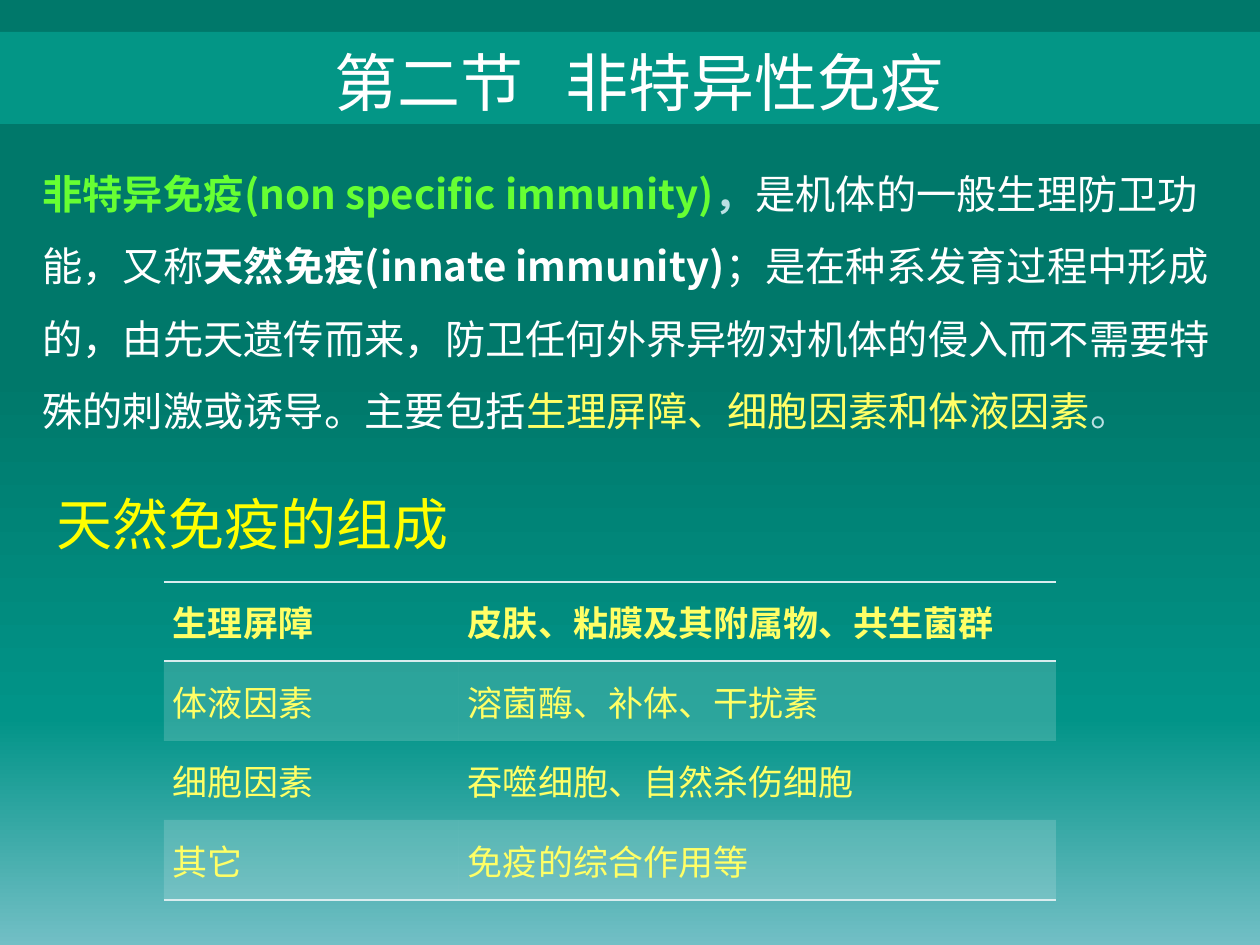
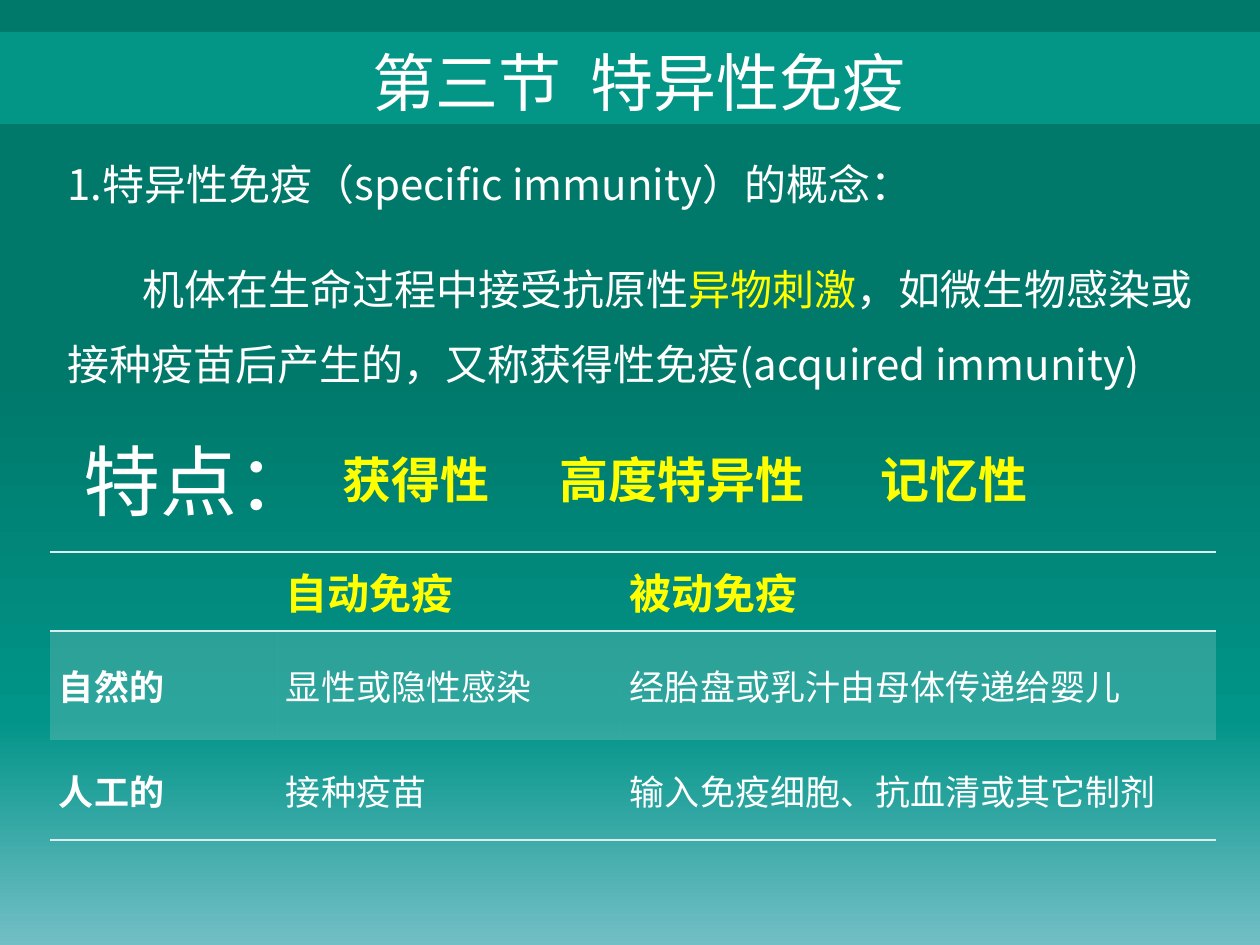
import pptx
import pptx.util
from lxml import etree
from pptx.dml.color import RGBColor
from pptx.enum.shapes import MSO_SHAPE
from pptx.enum.text import MSO_ANCHOR, MSO_AUTO_SIZE, PP_ALIGN
from pptx.oxml.ns import qn

EMU_PER_PX = 914400 / 126
WIDTH, HEIGHT = 1260, 945
FONT = "Noto Sans CJK SC"
NO_TABLE_STYLE = "{2D5ABB26-0587-4C30-8999-92F81FD0307C}"

WHITE = RGBColor(0xFF, 0xFF, 0xFF)
YELLOW = RGBColor(0xFF, 0xFF, 0x00)
PALE_YELLOW = RGBColor(0xFF, 0xFF, 0x66)
GREEN = RGBColor(0x66, 0xFF, 0x33)
PALE_BLUE = RGBColor(0xBB, 0xE0, 0xE3)
BAND = RGBColor(0x03, 0x96, 0x86)
RULE = RGBColor(0xDA, 0xED, 0xEF)
GRADIENT = [
    (0, RGBColor(0x00, 0x78, 0x6A)),
    (39, RGBColor(0x00, 0x78, 0x6A)),
    (76, RGBColor(0x01, 0x94, 0x88)),
    (100, RGBColor(0x72, 0xBF, 0xC5)),
]


def px(n):
    return pptx.util.Emu(round(n * EMU_PER_PX))


def add_color(parent, color):
    fill = etree.SubElement(parent, qn("a:solidFill"))
    return etree.SubElement(fill, qn("a:srgbClr"), val=str(color))


class Deck:
    def __init__(self):
        self.prs = pptx.Presentation()
        self.prs.slide_width, self.prs.slide_height = px(WIDTH), px(HEIGHT)
        self.s = None
        self.background()

    def background(self):
        """Vertical gradient on the master, shared by all slides."""
        master = self.prs.slide_master
        fill = master.background.fill
        fill.gradient()
        fill.gradient_angle = 270
        stops = next(master.element.iter(qn("a:gsLst")))
        for stop in list(stops):
            stops.remove(stop)
        for pos, color in GRADIENT:
            gs = etree.SubElement(stops, qn("a:gs"), pos=str(pos * 1000))
            etree.SubElement(gs, qn("a:srgbClr"), val=str(color))

    def slide(self, section, name, gap):
        """New slide with the title band; gap widens the space in the title (pt)."""
        self.s = self.prs.slides.add_slide(self.prs.slide_layouts[6])
        sp = self.s.shapes.add_shape(
            MSO_SHAPE.RECTANGLE, px(0), px(32), px(WIDTH), px(92))
        sp.shadow.inherit = False
        sp.fill.solid()
        sp.fill.fore_color.rgb = BAND
        sp.line.fill.background()
        p = self.text(0, 37, 1278, 89, [(section,), (" ",), (name,)], 36, wrap=True)
        p.alignment = PP_ALIGN.CENTER
        p.runs[1].font._element.set("spc", str(gap * 100))

    def format(self, r, size, color=WHITE, bold=False):
        f = r.font
        f.size, f.bold, f.name = pptx.util.Pt(size), bold, FONT
        f.color.rgb = color
        etree.SubElement(f._element, qn("a:ea"), typeface=FONT)

    def text(self, x, y, w, h, runs, size, wrap=False, spacing=None, indent=0):
        """Text box with one paragraph; runs are (text, color, bold)."""
        tf = self.s.shapes.add_textbox(px(x), px(y), px(w), px(h)).text_frame
        tf.word_wrap = wrap
        tf.auto_size = MSO_AUTO_SIZE.SHAPE_TO_FIT_TEXT
        p = tf.paragraphs[0]
        if spacing:
            p.line_spacing = spacing
        if indent:
            p._p.get_or_add_pPr().set("indent", str(px(indent)))
        for content, *style in runs:
            r = p.add_run()
            r.text = content
            self.format(r, size, *style)
        return p

    def border(self, cell, side):
        ln = etree.Element(qn("a:ln" + side), w=str(pptx.util.Pt(1)))
        add_color(ln, RULE)
        cell._tc.get_or_add_tcPr().insert(0, ln)

    def table(self, x, y, cols, rows, cells, head, body, bold_labels=False,
              align=PP_ALIGN.LEFT):
        """Ruled table with banded rows; head and body are (size, color)."""
        gf = self.s.shapes.add_table(
            len(rows), len(cols), px(x), px(y), px(sum(cols)), px(sum(rows)))
        tbl = gf.table
        tbl.horz_banding = False
        next(gf._element.iter(qn("a:tableStyleId"))).text = NO_TABLE_STYLE
        for col, w in zip(tbl.columns, cols):
            col.width = px(w)
        for i, (row, h) in enumerate(zip(tbl.rows, rows)):
            row.height = px(h)
            for j, cell in enumerate(row.cells):
                cell.vertical_anchor = MSO_ANCHOR.MIDDLE
                cell.margin_left = cell.margin_right = px(9)
                cell.margin_top = cell.margin_bottom = 0
                # Fill and rules
                if i % 2:
                    cell.fill.solid()
                    cell.fill.fore_color.rgb = RULE
                    color = next(cell._tc.tcPr.iter(qn("a:srgbClr")))
                    etree.SubElement(color, qn("a:alpha"), val="20000")
                else:
                    cell.fill.background()
                if i in (0, len(rows) - 1):
                    self.border(cell, "B")
                if i == 0:
                    self.border(cell, "T")
                # Text
                if cells[i][j]:
                    p = cell.text_frame.paragraphs[0]
                    p.text = cells[i][j]
                    p.alignment = align
                    bold = i == 0 or (bold_labels and j == 0)
                    self.format(p.runs[0], *(body if i else head), bold)


def main():
    d = Deck()

    # Non-specific immunity
    d.slide("第二节", "非特异性免疫", 16)
    d.text(30, 139, 1217, 297, [
        ("非特异免疫(non specific immunity)", GREEN, True),
        ("，", PALE_BLUE, True),
        ("是机体的一般生理防卫功能，又称",),
        ("天然免疫(innate immunity)", WHITE, True),
        ("；是在种系发育过程中形成的，由先天遗传而来，防卫任何外界异物对机体的侵入"
         "而不需要特殊的刺激或诱导。主要包括",),
        ("生理屏障、细胞因素和体液因素", PALE_YELLOW),
        ("。", PALE_BLUE),
    ], 23, wrap=True, spacing=1.5)
    d.text(44, 483, 432, 81, [("天然免疫的组成", YELLOW)], 32)
    d.table(164, 582, (295, 597), (79, 80, 79, 80), [
        ("生理屏障", "皮肤、粘膜及其附属物、共生菌群"),
        ("体液因素", "溶菌酶、补体、干扰素"),
        ("细胞因素", "吞噬细胞、自然杀伤细胞"),
        ("其它", "免疫的综合作用等"),
    ], head=(20, PALE_YELLOW), body=(20, PALE_YELLOW), align=PP_ALIGN.JUSTIFY)

    # Specific immunity
    d.slide("第三节", "特异性免疫", 8)
    d.text(55, 152, 888, 64, [("1.特异性免疫（specific immunity）的概念：",)], 24)
    d.text(55, 232, 1186, 165, [
        ("机体在生命过程中接受抗原性",),
        ("异物刺激", YELLOW),
        ("，如微生物感染或接种疫苗后产生的，又称获得性免疫(acquired immunity)",),
    ], 24, wrap=True, spacing=1.5, indent=75)
    d.text(71, 427, 258, 106, [("特点：",)], 44)
    for x, w, trait in ((330, 178, "获得性"), (547, 280, "高度特异性"),
                        (868, 178, "记忆性")):
        d.text(x, 443, w, 72, [(trait, YELLOW, True)], 28)
    d.table(50, 552, (227, 344, 595), (79, 109, 100), [
        ("", "自动免疫", "被动免疫"),
        ("自然的", "显性或隐性感染", "经胎盘或乳汁由母体传递给婴儿"),
        ("人工的", "接种疫苗", "输入免疫细胞、抗血清或其它制剂"),
    ], head=(24, YELLOW), body=(20, WHITE), bold_labels=True)

    d.prs.save("out.pptx")


if __name__ == "__main__":
    main()
